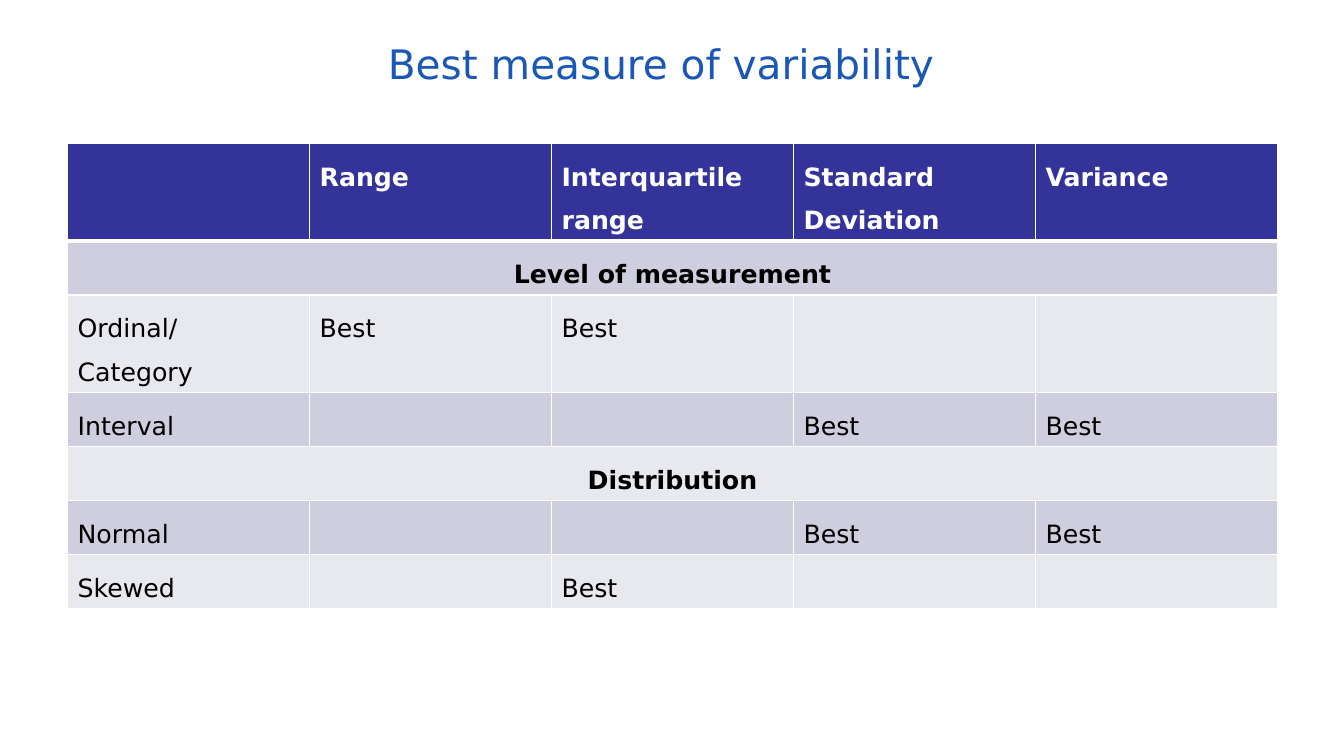
from dataclasses import dataclass

from lxml import etree
from pptx import Presentation, util as u
from pptx.dml.color import RGBColor
from pptx.enum import text
from pptx.oxml.ns import qn


@dataclass(frozen=True)
class Theme:
    font: str = "DejaVu Sans"
    title_color: str = "1B57B5"
    header_fill: str = "333399"
    header_text: str = "FFFFFF"
    body_text: str = "000000"
    bands: tuple = ("E8E8EF", "CECEDE")
    border: str = "FFFFFF"
    title_size: int = 29
    table_size: int = 18
    line_spacing: float = 1.5
    thin: int = 1
    thick: int = 3


class SlideBuilder:
    def __init__(self, slide, theme):
        self.slide = slide
        self.theme = theme

    def format_text(self, paragraph, size, color, bold=False):
        font_values = {"name": self.theme.font, "size": u.Pt(size), "bold": bold}
        for name, value in font_values.items():
            setattr(paragraph.font, name, value)
        paragraph.font.color.rgb = RGBColor.from_string(color)

    def title(self, wording, left, top, width, height):
        heading = self.slide.shapes.title
        place = {"left": left, "top": top, "width": width, "height": height}
        for name, value in place.items():
            setattr(heading, name, u.Inches(value))
        frame = heading.text_frame
        frame.text = wording
        frame_values = {
            "vertical_anchor": text.MSO_ANCHOR.MIDDLE,
            "word_wrap": True,
            "auto_size": text.MSO_AUTO_SIZE.NONE,
            "margin_left": u.Inches(0.11),
            "margin_right": u.Inches(0.11),
            "margin_top": u.Inches(0.06),
            "margin_bottom": u.Inches(0.06),
        }
        for name, value in frame_values.items():
            setattr(frame, name, value)
        paragraph = frame.paragraphs[0]
        paragraph.alignment = text.PP_ALIGN.CENTER
        self.format_text(paragraph, self.theme.title_size, self.theme.title_color)

    def borders(self, cell, top, bottom):
        properties = cell._tc.get_or_add_tcPr()
        thin = self.theme.thin
        for side, width in {"L": thin, "R": thin, "T": top, "B": bottom}.items():
            line = etree.SubElement(properties, qn(f"a:ln{side}"), w=str(u.Pt(width)))
            fill = etree.SubElement(line, qn("a:solidFill"))
            etree.SubElement(fill, qn("a:srgbClr"), val=self.theme.border)

    def cell(self, cell, wording, row, is_section):
        theme = self.theme
        is_header = row == 0
        self.borders(
            cell,
            top=theme.thick if row == 1 else theme.thin,
            bottom=theme.thick if is_header else theme.thin,
        )
        cell.fill.solid()
        fill = theme.header_fill if is_header else theme.bands[row % 2]
        cell.fill.fore_color.rgb = RGBColor.from_string(fill)
        cell.text = wording
        paragraph = cell.text_frame.paragraphs[0]
        paragraph.line_spacing = theme.line_spacing
        if is_section:
            paragraph.alignment = text.PP_ALIGN.CENTER
        color = theme.header_text if is_header else theme.body_text
        self.format_text(paragraph, theme.table_size, color, is_header or is_section)

    def table(self, rows, left, top, width, height, row_height):
        columns = len(rows[0])
        frame = self.slide.shapes.add_table(
            len(rows), columns, *map(u.Inches, (left, top, width, height))
        )
        grid = frame.table
        for row, wordings in enumerate(rows):
            grid.rows[row].height = u.Inches(row_height)
            is_section = len(wordings) == 1
            if is_section:
                grid.cell(row, 0).merge(grid.cell(row, columns - 1))
            for column in range(columns):
                wording = wordings[column] if column < len(wordings) else ""
                self.cell(grid.cell(row, column), wording, row, is_section)
        frame.height = u.Inches(height)


MEASURES = [
    ["", "Range", "Interquartile range", "Standard Deviation", "Variance"],
    ["Level of measurement"],
    ["Ordinal/ Category", "Best", "Best", "", ""],
    ["Interval", "", "", "Best", "Best"],
    ["Distribution"],
    ["Normal", "", "", "Best", "Best"],
    ["Skewed", "", "Best", "", ""],
]


def main():
    deck = Presentation()
    deck.slide_width = u.Inches(13.33)
    deck.slide_height = u.Inches(7.5)
    builder = SlideBuilder(deck.slides.add_slide(deck.slide_layouts[5]), Theme())
    builder.title("Best measure of variability", 0.56, 0.25, 12, 0.75)
    builder.table(MEASURES, 0.67, 1.42, 12, 4.54, row_height=0.41)
    deck.save("out.pptx")


if __name__ == "__main__":
    main()
